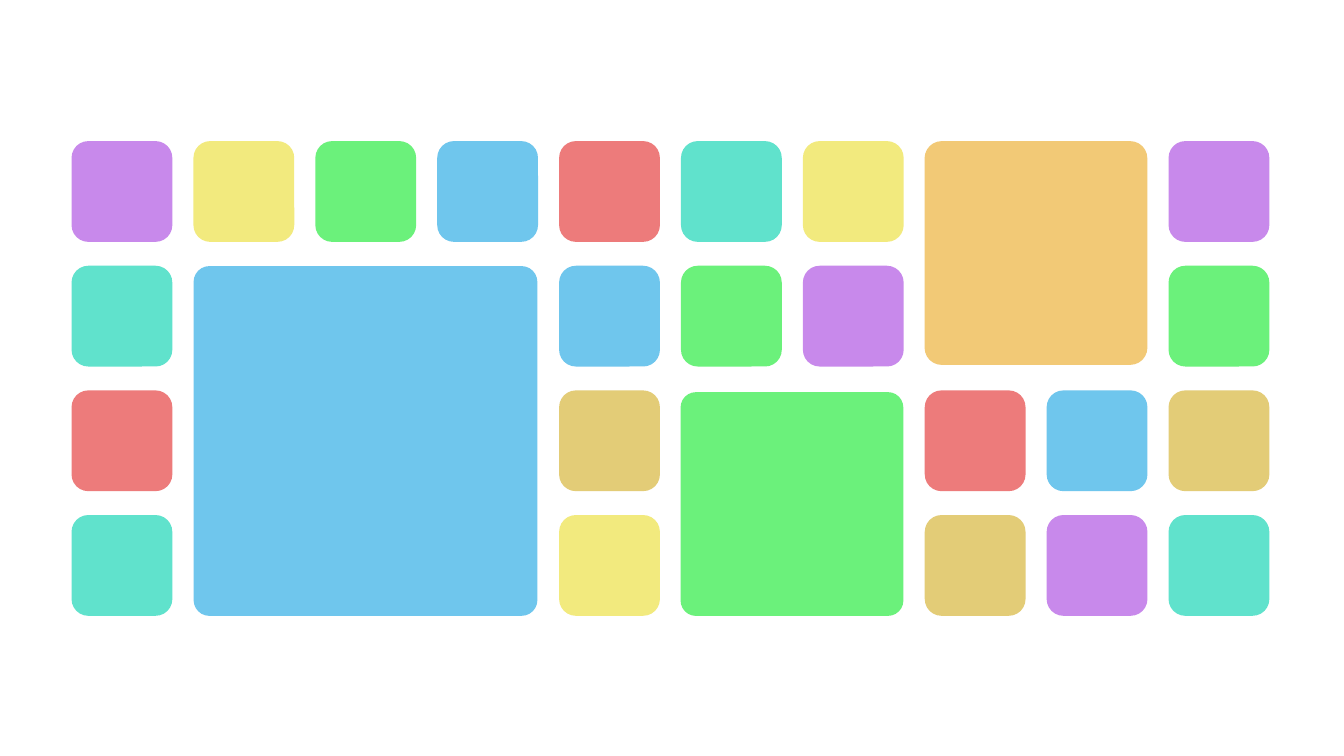
import pptx
import pptx.util
import pptx.dml.color
import pptx.enum.shapes

Inches = pptx.util.Inches
RGBColor = pptx.dml.color.RGBColor

PURPLE = RGBColor(0xC8, 0x89, 0xEB)
YELLOW = RGBColor(0xF2, 0xEA, 0x7E)
GREEN = RGBColor(0x6B, 0xF1, 0x7B)
BLUE = RGBColor(0x6F, 0xC6, 0xED)
RED = RGBColor(0xED, 0x7B, 0x7B)
TEAL = RGBColor(0x60, 0xE2, 0xCC)
SAND = RGBColor(0xE3, 0xCC, 0x77)
ORANGE = RGBColor(0xF2, 0xC9, 0x76)

# Small tiles by row; a dot marks a cell covered by a large tile
TINTS = {"P": PURPLE, "Y": YELLOW, "G": GREEN, "B": BLUE,
         "R": RED, "T": TEAL, "S": SAND}
ROWS = ["PYGBRTY..P",
        "T...BGP..G",
        "R...S..RBS",
        "T...Y..SPT"]

# Large tiles: left, top, width, height, corner, color
LARGE = [(1.92, 2.64, 3.41, 3.47, 0.046, BLUE),
         (6.75, 3.89, 2.21, 2.22, 0.069, GREEN),
         (9.17, 1.4, 2.21, 2.22, 0.077, ORANGE)]

LEFT, TOP, SIDE = 0.71, 1.4, 1
STEP_X = (11.59 - LEFT) / 9
STEP_Y = (5.11 - TOP) / 3
CORNER = 0.1667


class Board:
    """Holds the slide and the group that its tiles share."""

    def __init__(self, deck):
        self.slide = deck.slides.add_slide(deck.slide_layouts[6])
        self.group = self.slide.shapes.add_group_shape()

    def tile(self, left, top, width, height, corner, color):
        tile = self.group.shapes.add_shape(
            pptx.enum.shapes.MSO_SHAPE.ROUNDED_RECTANGLE,
            Inches(left), Inches(top), Inches(width), Inches(height))
        tile.adjustments[0] = corner
        tile.shadow.inherit = False
        tile.fill.solid()
        tile.fill.fore_color.rgb = color
        tile.line.fill.background()


def main():
    deck = pptx.Presentation()
    deck.slide_width = Inches(13.33)
    deck.slide_height = Inches(7.5)
    board = Board(deck)

    # Small tiles on the grid
    for row, codes in enumerate(ROWS):
        for col, code in enumerate(codes):
            if code in TINTS:
                board.tile(LEFT + col * STEP_X, TOP + row * STEP_Y,
                           SIDE, SIDE, CORNER, TINTS[code])

    # Large tiles
    for spot in LARGE:
        board.tile(*spot)

    deck.save("out.pptx")


if __name__ == "__main__":
    main()
